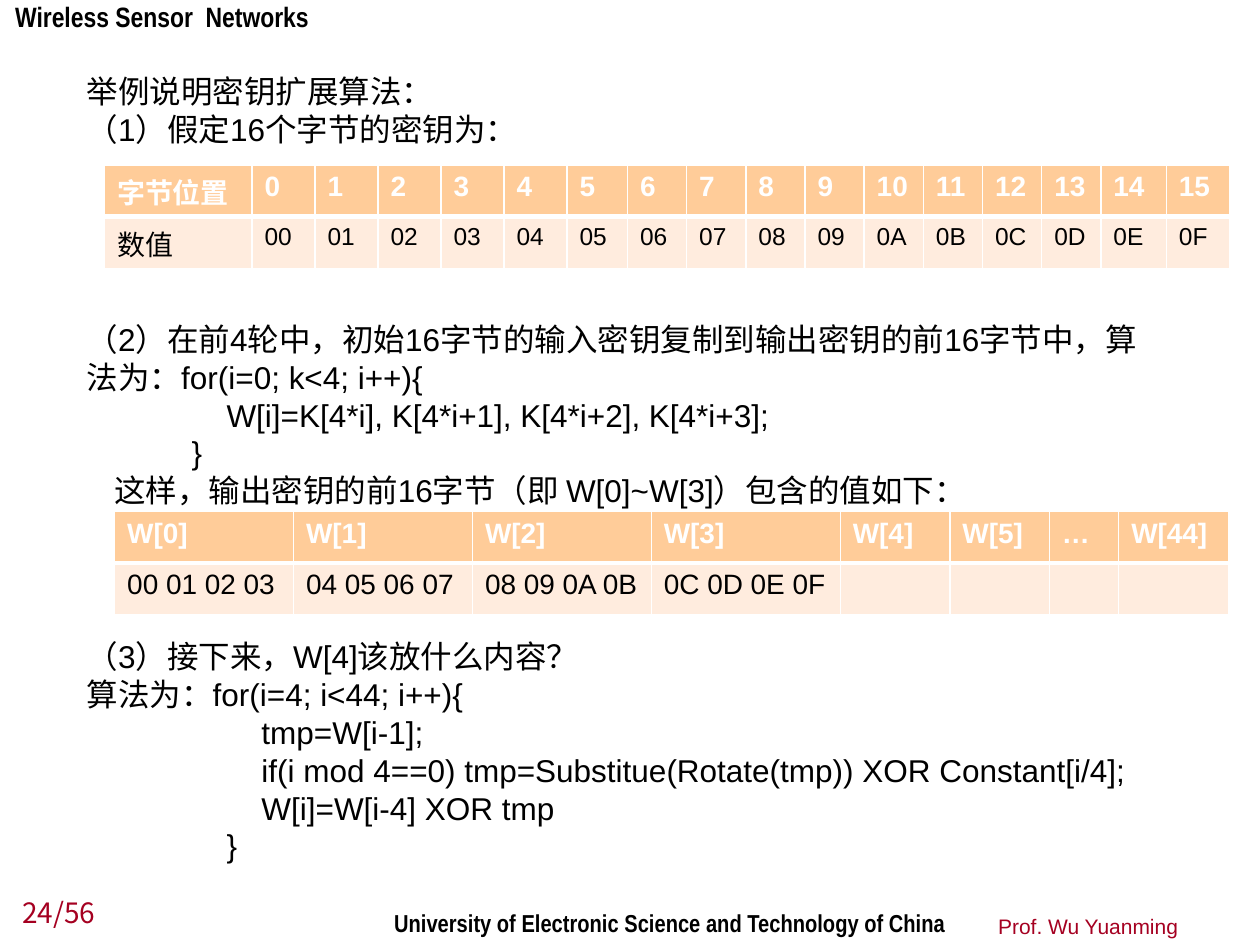
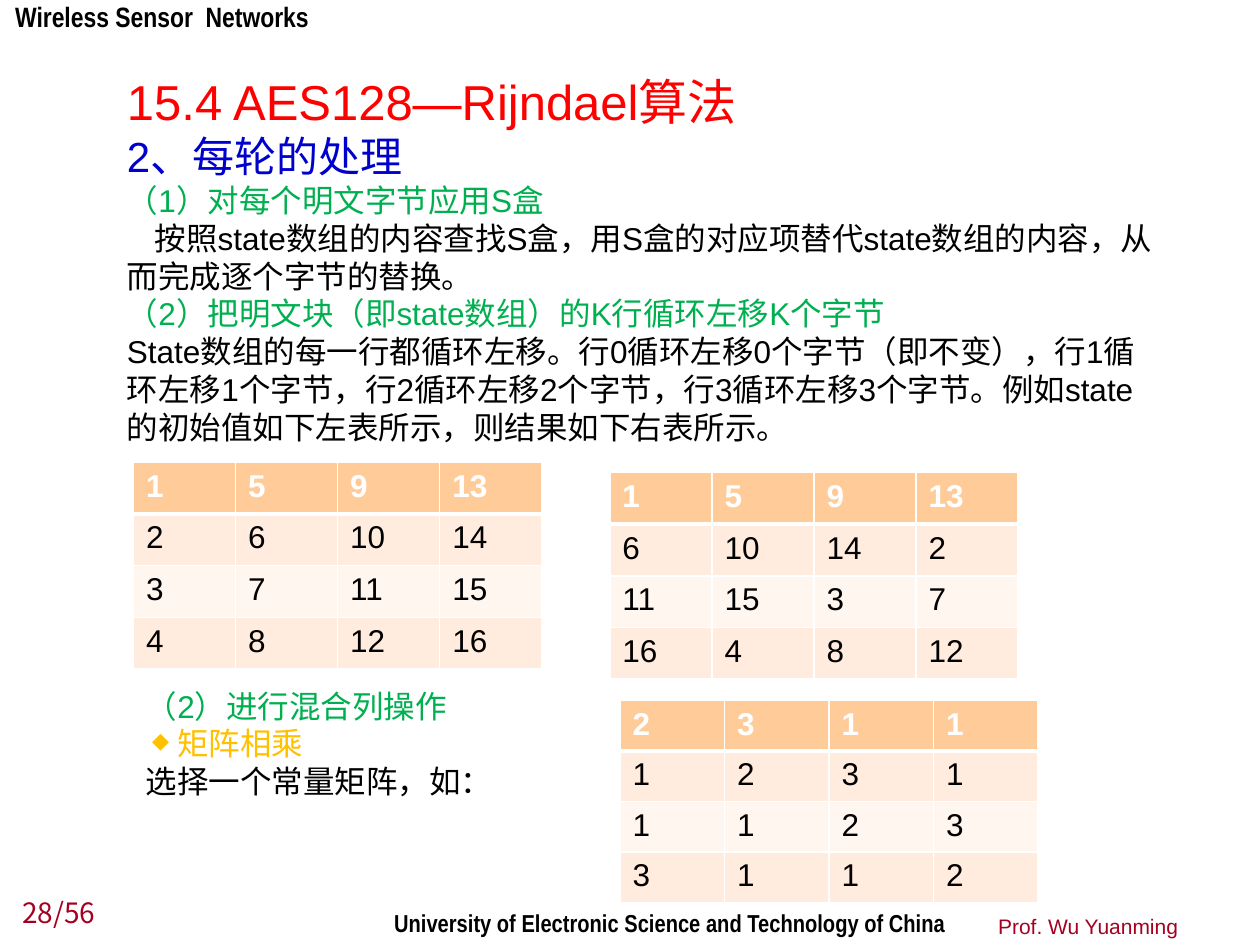
from dataclasses import dataclass

from lxml.etree import SubElement
from pptx import Presentation
from pptx.dml.color import RGBColor
from pptx.enum.text import MSO_ANCHOR, PP_ALIGN
from pptx.oxml.ns import qn
from pptx.util import Inches, Pt


@dataclass(frozen=True)
class Theme:
    font: str = "Arial"
    narrow_font: str = "Arial Narrow"
    number_font: str = "Noto Sans CJK JP"
    black: str = "000000"
    white: str = "FFFFFF"
    crimson: str = "A50021"
    red: str = "FF0000"
    blue: str = "0000CC"
    green: str = "00B050"
    amber: str = "FFC000"
    header_fill: str = "FFCC99"
    band_fills: tuple = ("FFECDE", "FFF6EF")
    title_size: int = 28
    subtitle_size: int = 24
    body_size: int = 18
    label_size: int = 16
    small_size: int = 14
    footer_size: int = 12


@dataclass(frozen=True)
class Line:
    text: str
    size: int = Theme.body_size
    color: str = Theme.black
    font: str = Theme.font
    bold: bool = False
    align: PP_ALIGN = PP_ALIGN.LEFT
    first_indent: float = 0
    bullet: str = ""


def add_text(slide, box, lines, anchor=MSO_ANCHOR.TOP, inset=True):
    """Add a text box at box (left, top, width, height) with one paragraph per line."""
    frame = slide.shapes.add_textbox(*map(Inches, box)).text_frame
    frame.word_wrap = True
    frame.vertical_anchor = anchor
    if not inset:
        frame.margin_left = frame.margin_top = frame.margin_right = frame.margin_bottom = 0
    for index, line in enumerate(lines):
        paragraph = frame.add_paragraph() if index else frame.paragraphs[0]
        paragraph.text = line.text
        paragraph.alignment = line.align
        properties = paragraph._p.get_or_add_pPr()
        if line.first_indent:
            properties.set("indent", str(Inches(line.first_indent)))
        if line.bullet:
            properties.set("marL", str(Inches(0.25)))
            properties.set("indent", str(Inches(-0.2)))
            SubElement(properties, qn("a:buSzPct"), val="70000")
            SubElement(properties, qn("a:buChar"), char=line.bullet)
        paragraph.font.name = line.font
        paragraph.font.size = Pt(line.size)
        paragraph.font.bold = line.bold
        paragraph.font.color.rgb = RGBColor.from_string(line.color)


def add_table(slide, left, top, widths, row_height, rows, size, value_size=None):
    """Add a table with a header row; value_size applies to body cells after the first column."""
    table = slide.shapes.add_table(
        len(rows), len(widths), Inches(left), Inches(top),
        Inches(sum(widths)), Inches(row_height * len(rows))).table
    table.horz_banding = False
    for column, width in zip(table.columns, widths):
        column.width = Inches(width)
    for row_index, values in enumerate(rows):
        table.rows[row_index].height = Inches(row_height)
        is_header = row_index == 0
        fill = theme.header_fill if is_header else theme.band_fills[(row_index - 1) % 2]
        thick_side = {0: "lnB", 1: "lnT"}.get(row_index)
        for column_index, value in enumerate(values):
            cell = table.cell(row_index, column_index)
            for side in ("lnL", "lnR", "lnT", "lnB"):
                border = SubElement(cell._tc.get_or_add_tcPr(), qn(f"a:{side}"),
                                    w=str(Pt(3 if side == thick_side else 1)))
                SubElement(SubElement(border, qn("a:solidFill")), qn("a:srgbClr"), val=theme.white)
            cell.fill.solid()
            cell.fill.fore_color.rgb = RGBColor.from_string(fill)
            cell.text = value
            font = cell.text_frame.paragraphs[0].font
            font.name = theme.font
            font.size = Pt(value_size if value_size and column_index and not is_header else size)
            font.bold = is_header
            font.color.rgb = RGBColor.from_string(theme.white if is_header else theme.black)


theme = Theme()
presentation = Presentation()
presentation.slide_width = Inches(10)
presentation.slide_height = Inches(7.5)
blank_layout = presentation.slide_layouts[6]
key_slide, round_slide = (presentation.slides.add_slide(blank_layout) for _ in range(2))

# Header and footers on every slide
for slide, page in ((key_slide, "24/56"), (round_slide, "28/56")):
    add_text(slide, (0.12, 0, 2.68, 0.27),
             [Line("Wireless Sensor  Networks", theme.label_size, font=theme.narrow_font, bold=True)],
             inset=False)
    add_text(slide, (3.03, 7.16, 4.72, 0.34),
             [Line("University of Electronic Science and Technology of China",
                   theme.small_size, font=theme.narrow_font, bold=True)])
    add_text(slide, (7.68, 7.14, 1.77, 0.36),
             [Line("Prof. Wu Yuanming", theme.footer_size, theme.crimson, align=PP_ALIGN.RIGHT)],
             MSO_ANCHOR.BOTTOM)
    add_text(slide, (0.08, 7.03, 1.01, 0.39),
             [Line(page, theme.label_size, theme.crimson, theme.number_font)], MSO_ANCHOR.BOTTOM)

# Key expansion example
add_text(key_slide, (0.59, 0.52, 8.43, 0.71), [
    Line("举例说明密钥扩展算法："),
    Line("（1）假定16个字节的密钥为："),
])
add_table(key_slide, 0.83, 1.31, [1.17] + [0.5] * 5 + [0.48] + [0.47] * 8 + [0.52, 0.5], 0.41, [
    ["字节位置"] + [str(position) for position in range(16)],
    ["数值"] + [f"{value:02X}" for value in range(16)],
], theme.label_size, theme.small_size)
add_text(key_slide, (0.59, 2.49, 8.74, 1.62), [
    Line("（2）在前4轮中，初始16字节的输入密钥复制到输出密钥的前16字节中，算法为：for(i=0; k<4; i++){"),
    Line("                W[i]=K[4*i], K[4*i+1], K[4*i+2], K[4*i+3];"),
    Line("            }"),
    Line("这样，输出密钥的前16字节（即 W[0]~W[3]）包含的值如下：", first_indent=0.22),
])
add_table(key_slide, 0.91, 4.06, [1.42, 1.42, 1.42, 1.5, 0.87, 0.79, 0.55, 0.87], 0.41, [
    ["W[0]", "W[1]", "W[2]", "W[3]", "W[4]", "W[5]", "…", "W[44]"],
    ["00 01 02 03", "04 05 06 07", "08 09 0A 0B", "0C 0D 0E 0F"] + [""] * 4,
], theme.label_size)
add_text(key_slide, (0.59, 5.01, 8.5, 1.92), [
    Line("（3）接下来，W[4]该放什么内容？"),
    Line("算法为：for(i=4; i<44; i++){"),
    Line("                    tmp=W[i-1];"),
    Line("                    if(i mod 4==0) tmp=Substitue(Rotate(tmp)) XOR Constant[i/4];"),
    Line("                    W[i]=W[i-4] XOR tmp"),
    Line("                }"),
])

# Processing in each round
add_text(round_slide, (0.91, 0.52, 8.43, 3.1), [
    Line("15.4 AES128—Rijndael算法", theme.title_size, theme.red),
    Line("2、每轮的处理", theme.subtitle_size, theme.blue),
    Line("（1）对每个明文字节应用S盒", color=theme.green),
    Line("按照state数组的内容查找S盒，用S盒的对应项替代state数组的内容，从而完成逐个字节的替换。",
         first_indent=0.22),
    Line("（2）把明文块（即state数组）的K行循环左移K个字节", color=theme.green),
    Line("State数组的每一行都循环左移。行0循环左移0个字节（即不变），行1循环左移1个字节，"
         "行2循环左移2个字节，行3循环左移3个字节。例如state的初始值如下左表所示，则结果如下右表所示。"),
])
add_text(round_slide, (1.06, 5.4, 8.35, 1.01), [
    Line("（2）进行混合列操作", color=theme.green),
    Line("矩阵相乘", color=theme.amber, bullet="◆"),
    Line("选择一个常量矩阵，如："),
])

state = [[str(row + 4 * column) for column in range(4)] for row in range(1, 5)]
shifted_state = [row[shift:] + row[:shift] for shift, row in enumerate(state)]
first_row = ["2", "3", "1", "1"]
mix_matrix = [first_row[4 - shift:] + first_row[:4 - shift] for shift in range(4)]
for left, top, column_width, row_height, matrix in (
        (1.06, 3.67, 0.81, 0.41, state),
        (4.84, 3.75, 0.81, 0.41, shifted_state),
        (4.92, 5.56, 0.83, 0.4, mix_matrix)):
    add_table(round_slide, left, top, [column_width] * 4, row_height, matrix, theme.body_size)

presentation.save("out.pptx")
